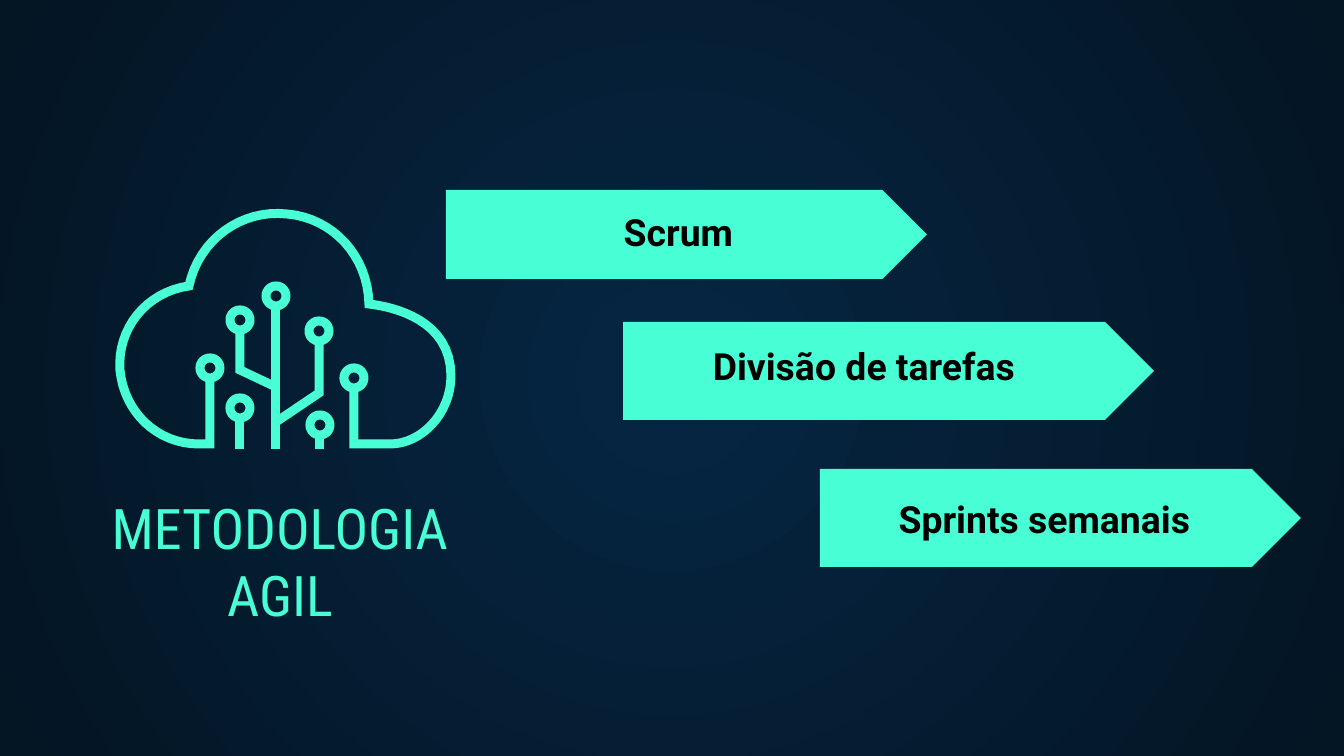
from math import cos, pi, sin

from lxml.etree import SubElement
from pptx import Presentation
from pptx.dml.color import RGBColor
from pptx.enum.shapes import MSO_SHAPE as Shape
from pptx.enum.text import MSO_ANCHOR as Anchor, MSO_AUTO_SIZE as AutoSize, PP_ALIGN as Align
from pptx.oxml.ns import qn
from pptx.util import Pt

EMU_PER_PX = 914400 / 134.4
MINT, BLACK = "48FFD5", "000000"
STROKE, NODE_RADIUS = 9, 10

ARROWS = [
    ("Scrum", (446, 190, 481, 89), (593, 203, 155, 59)),
    ("Divisão de tarefas", (623, 322, 531, 98), (682, 337, 348, 59)),
    ("Sprints semanais", (820, 469, 481, 98), (868, 490, 337, 59)),
]
TREE_STEMS = [
    [(276, 306), (276, 449)],
    [(240, 330), (240, 370), (276, 387)],
    [(319, 341), (319, 393), (276, 422)],
]
TREE_NODES = [(240, 320), (276, 296), (319, 331)]
CLOUD_NODES = [(210, 368), (354, 378)]
SHORT_STEMS = [
    ([(240, 418), (240, 449)], (240, 408)),
    ([(320, 435), (320, 449)], (320, 425)),
]
CLOUD_START, CLOUD_END = [(210, 378), (210, 444), (199, 444)], [(354, 444), (354, 388)]
CLOUD_CURVES = [
    [(157, 444), (124, 412), (120, 370)],
    [(117, 329), (146, 292), (189, 286)],
    [(199, 239), (242, 209), (287, 214)],
    [(333, 218), (368, 256), (369, 304)],
    [(394, 307), (451, 320), (451, 376)],
    [(451, 413), (422, 444), (390, 444)],
]


def px(length):
    """Turn pixels into EMU."""
    return round(length * EMU_PER_PX)


def color(value):
    """Turn a hex string into a colour."""
    return RGBColor.from_string(value)


def set_background(slide):
    """Fill the slide with a circular gradient."""
    fill = slide.background.fill
    fill.gradient()
    for stop, value in zip(fill.gradient_stops, ("052643", "041523")):
        stop.color.rgb = color(value)
    gradient = slide.element.find(".//" + qn("a:gradFill"))
    gradient.remove(gradient.find(qn("a:lin")))
    circle = SubElement(gradient, qn("a:path"), {"path": "circle"})
    SubElement(circle, qn("a:fillToRect"), {side: "50000" for side in "ltrb"})


def add_text(paragraph, text, font_name, size, value, bold=False):
    """Add one formatted run."""
    run = paragraph.add_run()
    run.text = text
    run.font.name = font_name
    run.font.size = Pt(size)
    run.font.bold = bold
    run.font.color.rgb = color(value)


def set_title(slide, lines):
    """Place the title and write its lines."""
    title = slide.shapes.title
    title.left, title.top, title.width, title.height = map(px, (36, 532, 488, 109))
    frame = title.text_frame
    frame.word_wrap = True
    frame.auto_size = AutoSize.NONE
    frame.vertical_anchor = Anchor.BOTTOM
    frame.margin_left = frame.margin_right = frame.margin_top = frame.margin_bottom = px(13)
    paragraph = frame.paragraphs[0]
    paragraph.alignment = Align.CENTER
    for index, line in enumerate(lines):
        if index:
            paragraph.add_line_break()
        add_text(paragraph, line, "Roboto Condensed", 30, MINT)


def add_arrow(slide, box):
    """Add a plain mint arrow block."""
    shape = slide.shapes.add_shape(Shape.PENTAGON, *map(px, box))
    shape.shadow.inherit = False
    shape.fill.solid()
    shape.fill.fore_color.rgb = color(MINT)
    shape.line.fill.background()


def add_label(slide, text, box):
    """Add a bold centred label."""
    frame = slide.shapes.add_textbox(*map(px, box)).text_frame
    frame.word_wrap = False
    frame.auto_size = AutoSize.SHAPE_TO_FIT_TEXT
    paragraph = frame.paragraphs[0]
    paragraph.alignment = Align.CENTER
    properties = paragraph._p.get_or_add_pPr()
    properties.set("marL", str(px(16)))
    properties.set("indent", "0")
    add_text(paragraph, text, "Roboto", 20, BLACK, bold=True)


def curve_points(start, controls, steps=16):
    """Sample a cubic curve after its start."""
    corners = [start, *controls]
    for step in range(1, steps + 1):
        t = step / steps
        weights = ((1 - t) ** 3, 3 * t * (1 - t) ** 2, 3 * t * t * (1 - t), t ** 3)
        yield tuple(sum(w * p[axis] for w, p in zip(weights, corners)) for axis in (0, 1))


def ring_points(center, steps=32):
    """List the points of a node's circle."""
    angles = [2 * pi * step / steps for step in range(steps)]
    return [(center[0] + NODE_RADIUS * cos(a), center[1] + NODE_RADIUS * sin(a)) for a in angles]


def add_circuit(shapes, stems, nodes):
    """Draw stems and ring nodes as one mint outline."""
    contours = [(stem, False) for stem in stems] + [(ring_points(node), True) for node in nodes]
    builder = None
    for points, closed in contours:
        start, *rest = [(px(x), px(y)) for x, y in points]
        if builder is None:
            builder = shapes.build_freeform(*start)
        else:
            builder.move_to(*start)
        builder.add_line_segments(rest, close=closed)
    shape = builder.convert_to_shape()
    shape.shadow.inherit = False
    shape.fill.background()
    shape.line.width = px(STROKE)
    shape.line.fill.solid()
    shape.line.fill.fore_color.rgb = color(MINT)
    line = shape.line._get_or_add_ln()
    line.set("cap", "flat")
    SubElement(line, qn("a:miter"), {"lim": "800000"})


def add_cloud_icon(slide):
    """Draw the cloud with its circuit tree."""
    shapes = slide.shapes.add_group_shape().shapes
    outline = list(CLOUD_START)
    for controls in CLOUD_CURVES:
        outline.extend(list(curve_points(outline[-1], controls)))
    add_circuit(shapes, TREE_STEMS, TREE_NODES)
    add_circuit(shapes, [outline + CLOUD_END], CLOUD_NODES)
    for stem, node in SHORT_STEMS:
        add_circuit(shapes, [stem], [node])


def main():
    """Build and save the slide."""
    presentation = Presentation()
    presentation.slide_width, presentation.slide_height = px(1344), px(756)
    slide = presentation.slides.add_slide(presentation.slide_layouts[0])
    subtitle = slide.placeholders[1].element
    subtitle.getparent().remove(subtitle)
    set_background(slide)
    add_cloud_icon(slide)
    set_title(slide, ("METODOLOGIA", "AGIL"))
    for text, arrow_box, label_box in ARROWS:
        add_arrow(slide, arrow_box)
        add_label(slide, text, label_box)
    presentation.save("out.pptx")


if __name__ == "__main__":
    main()
